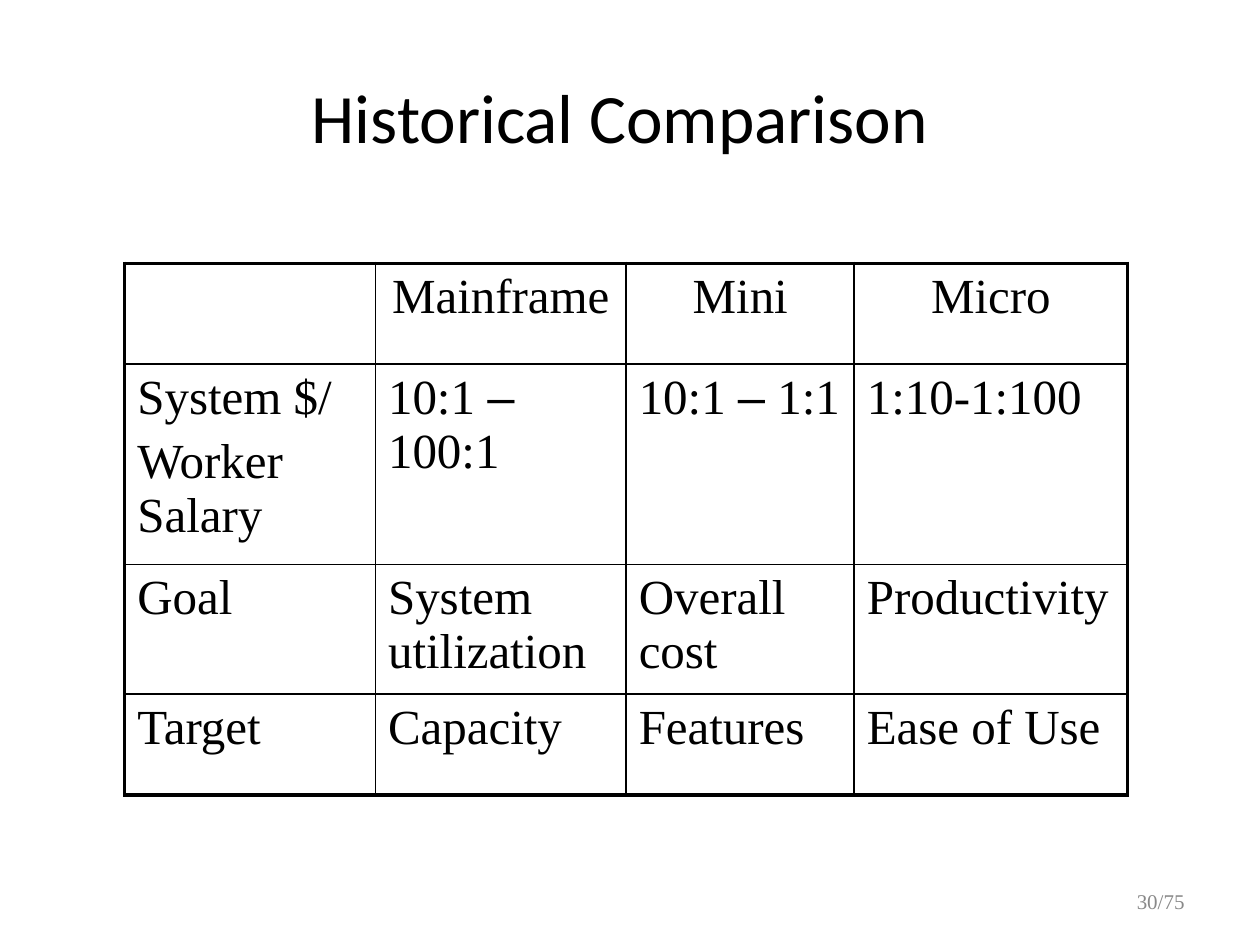
from lxml.etree import SubElement
from pptx import Presentation
from pptx.dml.color import RGBColor
from pptx.enum.text import MSO_ANCHOR as Anchor, MSO_AUTO_SIZE as AutoSize, PP_ALIGN as Align
from pptx.oxml.ns import qn
from pptx.util import Inches, Pt

COLORS = {"ink": "000000", "muted": "898989"}
SERIF = "Times New Roman"
TITLE = "Historical Comparison"
PAGE_NUMBER = "30/75"
ROWS = [
    [[], ["Mainframe"], ["Mini"], ["Micro"]],
    [["System $/", "Worker Salary"], ["10:1 – 100:1"], ["10:1 – 1:1"], ["1:10-1:100"]],
    [["Goal"], ["System utilization"], ["Overall cost"], ["Productivity"]],
    [["Target"], ["Capacity"], ["Features"], ["Ease of Use"]],
]
COLUMN_WIDTHS = [1.99, 1.99, 1.81, 2.17]
ROW_HEIGHTS = [0.8, 1.59, 1.03, 0.8]
TABLE_LEFT, TABLE_TOP = 0.99, 2.09
OUTER_LINE, INNER_LINE = 2.25, 1


def add_span(para, text, size, font, color):
    span = para.add_run()
    span.text = text
    span.font.size = Pt(size)
    span.font.name = font
    span.font.color.rgb = RGBColor.from_string(COLORS[color])


def place(shape, left, top, width, height):
    shape.left, shape.top = Inches(left), Inches(top)
    shape.width, shape.height = Inches(width), Inches(height)


def set_borders(cell, row, column):
    outer = {
        "L": column == 0,
        "R": column == len(COLUMN_WIDTHS) - 1,
        "T": row == 0,
        "B": row == len(ROW_HEIGHTS) - 1,
    }
    properties = cell._tc.get_or_add_tcPr()
    for side, is_outer in outer.items():
        weight = Pt(OUTER_LINE if is_outer else INNER_LINE)
        line = SubElement(properties, qn(f"a:ln{side}"), w=str(weight))
        fill = SubElement(line, qn("a:solidFill"))
        SubElement(fill, qn("a:srgbClr"), val=COLORS["ink"])


def space_before(para, percent):
    spacing = SubElement(para._p.get_or_add_pPr(), qn("a:spcBef"))
    SubElement(spacing, qn("a:spcPct"), val=str(percent * 1000))


def fill_cell(cell, lines, row, column):
    set_borders(cell, row, column)
    cell.fill.background()
    cell.margin_left = cell.margin_right = Inches(0.1)
    cell.margin_top = cell.margin_bottom = Inches(0.05)
    frame = cell.text_frame
    for index, line in enumerate(lines):
        para = frame.add_paragraph() if index else frame.paragraphs[0]
        para.alignment = Align.LEFT if row else Align.CENTER
        space_before(para, 20)
        before, dash, after = line.partition("–")
        for text, font in ((before, SERIF), (dash, "Arial"), (after, SERIF)):
            if text:
                add_span(para, text, 28, font, "ink")


def add_comparison(page):
    frame = page.shapes.add_table(
        len(ROW_HEIGHTS), len(COLUMN_WIDTHS), Inches(TABLE_LEFT), Inches(TABLE_TOP),
        Inches(sum(COLUMN_WIDTHS)), Inches(sum(ROW_HEIGHTS)))
    table = frame.table
    table.first_row = table.horz_banding = False
    for column, width in zip(table.columns, COLUMN_WIDTHS):
        column.width = Inches(width)
    for row, height in zip(table.rows, ROW_HEIGHTS):
        row.height = Inches(height)
    for row, cells in enumerate(ROWS):
        for column, lines in enumerate(cells):
            fill_cell(table.cell(row, column), lines, row, column)


def main():
    deck = Presentation()
    deck.slide_width, deck.slide_height = Inches(10), Inches(7.5)
    page = deck.slides.add_slide(deck.slide_layouts[5])

    title = page.shapes.title
    place(title, 0.67, 0.59, 8.5, 0.66)
    title.text_frame.auto_size = AutoSize.NONE
    title.text_frame.vertical_anchor = Anchor.MIDDLE
    para = title.text_frame.paragraphs[0]
    para.alignment = Align.CENTER
    add_span(para, TITLE, 39.6, "Calibri", "ink")

    add_comparison(page)

    box = page.shapes.add_textbox(Inches(7.17), Inches(6.95), Inches(2.33), Inches(0.4))
    box.text_frame.word_wrap = True
    box.text_frame.vertical_anchor = Anchor.MIDDLE
    para = box.text_frame.paragraphs[0]
    para.alignment = Align.RIGHT
    add_span(para, PAGE_NUMBER, 12, SERIF, "muted")

    deck.save("out.pptx")


if __name__ == "__main__":
    main()
